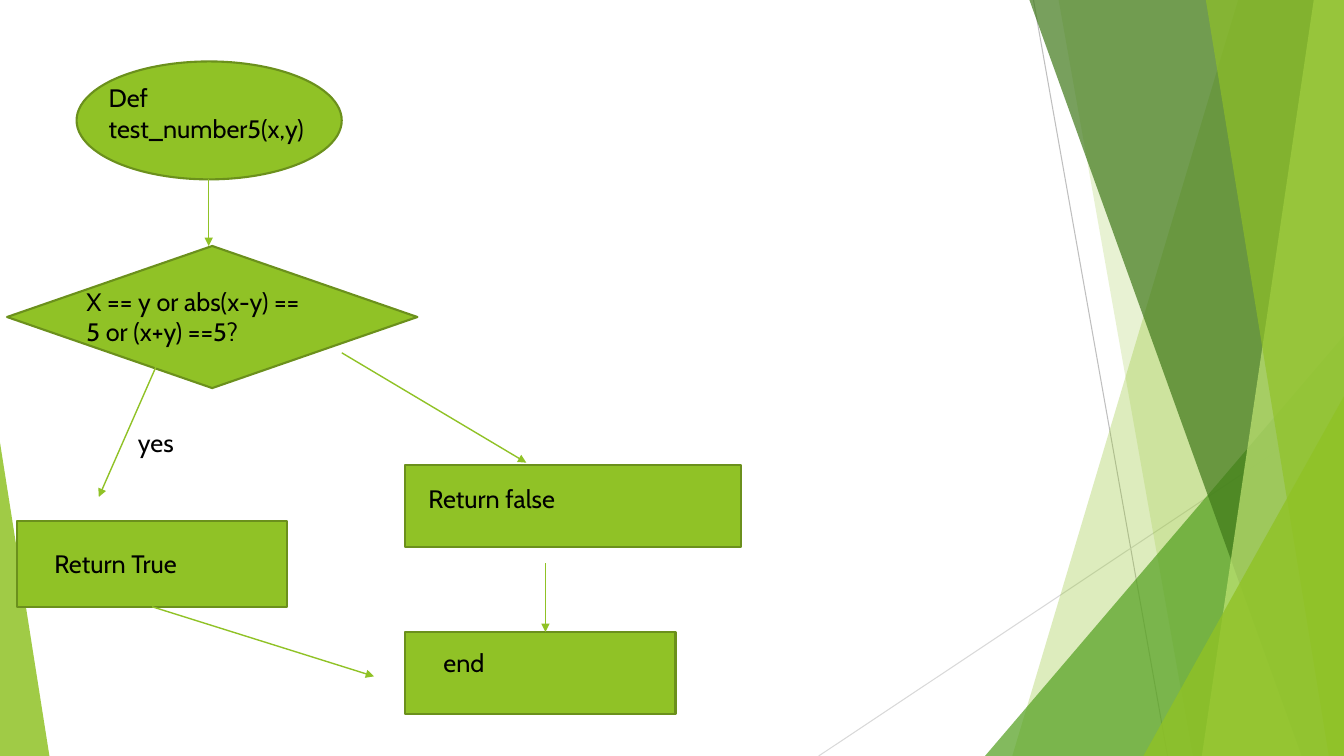
from lxml import etree
from pptx import Presentation, util as u
from pptx.dml.color import RGBColor
from pptx.enum import shapes as s
from pptx.oxml import ns

LIME = RGBColor(0x90, 0xC2, 0x26)
OLIVE = RGBColor(0x6B, 0x90, 0x1C)
GREEN = RGBColor(0x54, 0xA0, 0x21)
DARK = RGBColor(0x3F, 0x78, 0x19)
PALE = RGBColor(0xC0, 0xE4, 0x74)
GREY = RGBColor(0xBF, 0xBF, 0xBF)
SILVER = RGBColor(0xD9, 0xD9, 0xD9)
BLACK = RGBColor(0, 0, 0)

WIDE, HIGH = 13.33, 7.5
KIND = s.MSO_SHAPE


def tint(shape, color, alpha):
    """Fill without outline, alpha in percent."""
    shape.shadow.inherit = False
    shape.fill.solid()
    shape.fill.fore_color.rgb = color
    shape.line.fill.background()
    rgb = shape.fill._xPr.find(".//" + ns.qn("a:srgbClr"))
    etree.SubElement(rgb, ns.qn("a:alpha"), val=str(alpha * 1000))


def add_line(slide, start, end, color, width, arrow=False):
    ends = [u.Inches(v) for v in (*start, *end)]
    link = slide.shapes.add_connector(s.MSO_CONNECTOR.STRAIGHT, *ends)
    link.line.color.rgb = color
    link.line.width = u.Pt(width)
    if arrow:
        etree.SubElement(link.line._get_or_add_ln(), ns.qn("a:tailEnd"),
                         type="triangle")
    etree.SubElement(link._element.spPr, ns.qn("a:effectLst"))


def add_band(slide, left, top, right, base, foot, color, alpha):
    """Four-sided band from the top edge down to the base, ending at right."""
    dots = [(u.Inches(x), u.Inches(y)) for x, y in
            ((left, top), (right, top), (right, base), (foot, base))]
    pen = slide.shapes.build_freeform(*dots[0])
    pen.add_line_segments(dots[1:], close=True)
    tint(pen.convert_to_shape(), color, alpha)


def add_wedge(slide, x, y, w, h, peak, color, alpha):
    wedge = slide.shapes.add_shape(KIND.ISOSCELES_TRIANGLE,
                                   *map(u.Inches, (x, y, w, h)))
    wedge.adjustments[0] = peak
    tint(wedge, color, alpha)


def add_facets(slide, x, y, w, h):
    """Translucent facets along the right and lower left edges of the box."""
    right, base = x + w, y + h

    def band(top, foot, color, alpha):
        add_band(slide, right - top, y, right, base, right - foot, color, alpha)

    def wedge(wide, high, color, alpha):
        add_wedge(slide, right - wide, base - high, wide, high, 1, color, alpha)

    add_line(slide, (right - 3.08, y), (right - 1.75, base), GREY, 0.75)
    add_line(slide, (right, y + 4.03), (right - 5.21, base), SILVER, 0.75)
    band(1.05, 3.29, LIME, 30)
    band(2.83, 1.5, LIME, 20)
    wedge(3.56, 4.17, GREEN, 72)
    band(3.12, 0.42, DARK, 70)
    band(0.3, 1.41, PALE, 70)
    band(1.37, 0.15, LIME, 65)
    wedge(1.99, 3.57, LIME, 80)
    add_wedge(slide, x, base - 3.11, 0.49, 3.11, 0, LIME, 85)


def add_node(slide, kind, x, y, w, h):
    node = slide.shapes.add_shape(kind, *map(u.Inches, (x, y, w, h)))
    node.shadow.inherit = False
    node.fill.solid()
    node.fill.fore_color.rgb = LIME
    node.line.color.rgb = OLIVE
    node.line.width = u.Pt(1.5)


def add_label(slide, words, x, y, w, h):
    frame = slide.shapes.add_textbox(*map(u.Inches, (x, y, w, h))).text_frame
    frame.word_wrap = True
    frame.text = words
    font = frame.paragraphs[0].font
    font.name, font.size = "Cabin", u.Pt(18)
    font.color.rgb = BLACK


def add_flow(slide, x, y):
    """Flowchart with its top left corner at x, y."""
    nodes = [
        (KIND.OVAL, 0.69, 0, 2.63, 1.17),
        (KIND.FLOWCHART_DECISION, 0, 1.83, 4.07, 1.41),
        (KIND.RECTANGLE, 0.1, 4.56, 2.68, 0.85),
        (KIND.RECTANGLE, 3.95, 4, 3.33, 0.82),
        (KIND.RECTANGLE, 3.95, 5.66, 2.68, 0.81),
    ]
    labels = [
        ("Def test_number5(x,y)", 0.91, 0.16, 2.24, 1.01),
        ("X == y or abs(x-y) == 5 or (x+y) ==5?", 0.69, 2.18, 2.46, 0.71),
        ("Return True", 0.37, 4.78, 2.2, 0.4),
        ("yes", 1.2, 3.58, 1.05, 0.4),
        ("Return false", 4.08, 4.14, 2.9, 0.4),
        ("end", 4.23, 5.76, 1.82, 0.4),
    ]
    links = [
        (2, 1.17, 2, 1.83),
        (1.49, 3, 0.91, 4.32),
        (3.32, 2.89, 5.15, 3.98),
        (1.44, 5.41, 3.64, 6.1),
        (5.34, 4.98, 5.34, 5.66),
    ]
    for kind, dx, dy, w, h in nodes:
        add_node(slide, kind, x + dx, y + dy, w, h)
    for words, dx, dy, w, h in labels:
        add_label(slide, words, x + dx, y + dy, w, h)
    for ax, ay, bx, by in links:
        add_line(slide, (x + ax, y + ay), (x + bx, y + by), LIME, 1, True)


def main():
    deck = Presentation()
    deck.slide_width, deck.slide_height = u.Inches(WIDE), u.Inches(HIGH)
    slide = deck.slides.add_slide(deck.slide_layouts[6])
    add_facets(slide, 0, 0, WIDE, HIGH)
    add_flow(slide, 0.07, 0.61)
    deck.save("out.pptx")


if __name__ == "__main__":
    main()
